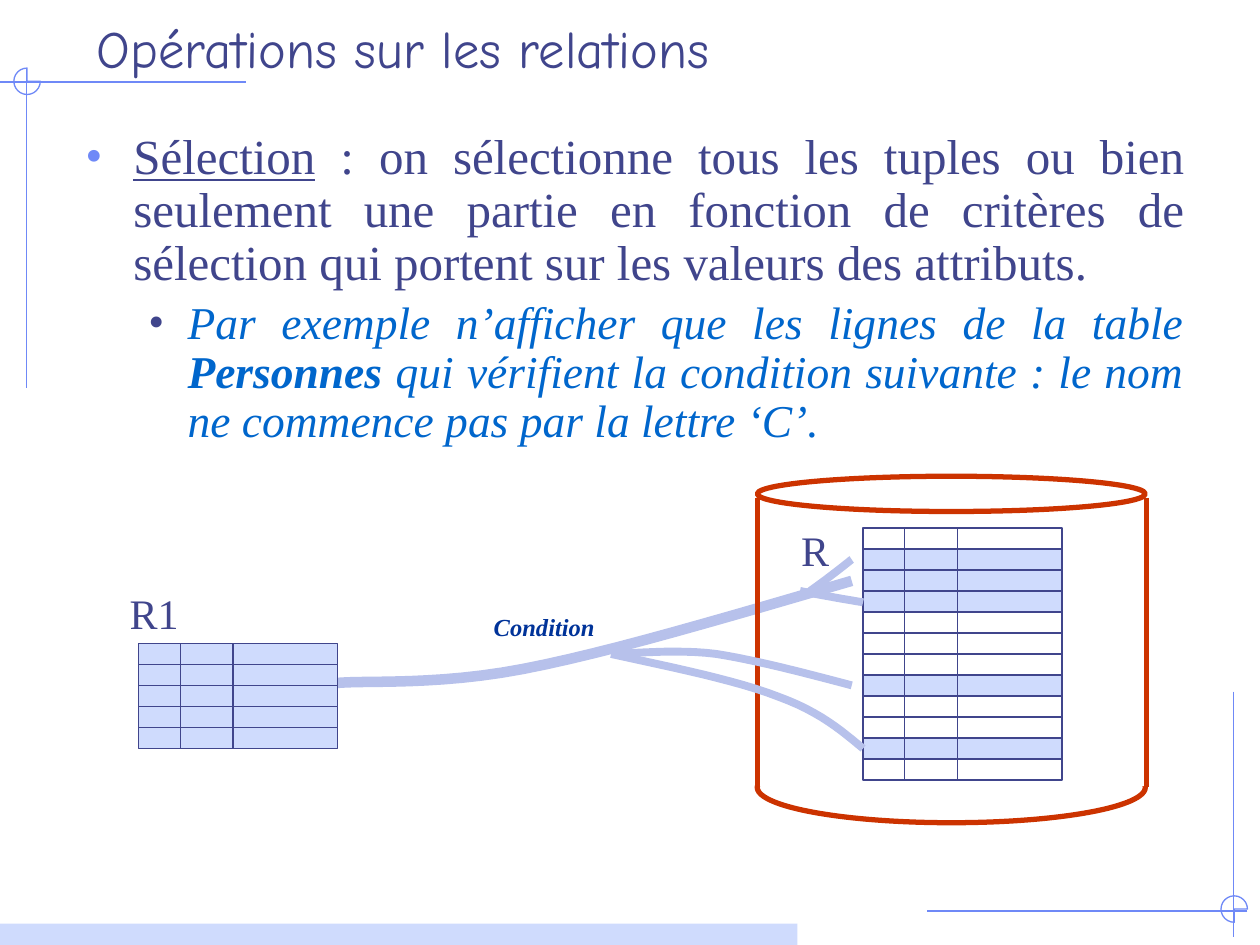
from lxml.etree import SubElement
from pptx import Presentation
from pptx.dml.color import RGBColor
from pptx.enum.shapes import MSO_CONNECTOR, MSO_SHAPE as SHAPE
from pptx.enum.text import MSO_ANCHOR as ANCHOR, PP_ALIGN as ALIGN
from pptx.oxml.ns import qn
from pptx.util import Inches, Pt

COLOR = {
    "ink": "40458C", "rule": "6F89F7", "pale": "CFDBFD", "flow": "B7C1EB",
    "red": "CC3300", "blue": "0066CC", "navy": "003399", "white": "FFFFFF",
}
SERIF = "Times New Roman"


def rgb(name):
    return RGBColor.from_string(COLOR[name])


def inches(*values):
    return [Inches(v) for v in values]


def paint(line, color, width):
    line.color.rgb = rgb(color)
    line.width = Pt(width)


def rule(slide, x1, y1, x2, y2, color="rule", width=0.75):
    line = slide.shapes.add_connector(MSO_CONNECTOR.STRAIGHT, *inches(x1, y1, x2, y2))
    paint(line.line, color, width)
    SubElement(line._element.spPr, qn("a:effectLst"))


def form(slide, kind, box, fill=None, line=None, width=0.75):
    item = slide.shapes.add_shape(kind, *inches(*box))
    item.shadow.inherit = False
    if fill:
        item.fill.solid()
        item.fill.fore_color.rgb = rgb(fill)
    else:
        item.fill.background()
    if line:
        paint(item.line, line, width)
    else:
        item.line.fill.background()
    return item


def curve(slide, start, *arcs, width=4.5, steps=12):
    """Draw a line of cubic arcs; each arc is two control points and an end."""
    pen = slide.shapes.build_freeform(*inches(*start), scale=1.0)
    points = []
    for arc in arcs:
        for i in range(1, steps + 1):
            t = i / steps
            parts = (1 - t) ** 3, 3 * t * (1 - t) ** 2, 3 * t * t * (1 - t), t ** 3
            knots = (start, *arc)
            points.append(inches(*(sum(w * k[axis] for w, k in zip(parts, knots))
                                   for axis in (0, 1))))
        start = arc[-1]
    pen.add_line_segments(points, close=False)
    item = pen.convert_to_shape()
    item.shadow.inherit = False
    item.fill.background()
    paint(item.line, "flow", width)


def write(par, text, size=24, font=SERIF, color="ink", bold=False, italic=False,
          under=False):
    run = par.add_run()
    run.text = text
    face = run.font
    face.size, face.name = Pt(size), font
    face.bold, face.italic, face.underline = bold, italic, under
    face.color.rgb = rgb(color)


def frame(slide, box, anchor=ANCHOR.TOP):
    area = slide.shapes.add_textbox(*inches(*box)).text_frame
    area.word_wrap = True
    area.vertical_anchor = anchor
    return area


def label(slide, box, text, anchor=ANCHOR.TOP, **style):
    write(frame(slide, box, anchor).paragraphs[0], text, **style)


def bullet(par, left, hang, color, before=0):
    par.alignment = ALIGN.JUSTIFY
    par.line_spacing = 0.9
    par.space_before = Pt(before)
    props = par._p.get_or_add_pPr()
    props.set("marL", str(Inches(left)))
    props.set("indent", str(-Inches(hang)))
    tint = SubElement(props, qn("a:buClr"))
    SubElement(tint, qn("a:srgbClr"), val=COLOR[color])
    SubElement(props, qn("a:buFont"), typeface=SERIF)
    SubElement(props, qn("a:buChar"), char="•")


def decor(slide):
    rule(slide, 1.95, 0.65, 0, 0.65)
    rule(slide, 0.21, 0.55, 0.21, 3.08)
    form(slide, SHAPE.PIE, (0.11, 0.54, 0.21, 0.21), line="rule")
    rule(slide, 9.79, 5.49, 9.79, 7.44)
    rule(slide, 9.9, 7.23, 7.36, 7.23)
    form(slide, SHAPE.PIE, (9.69, 7.11, 0.21, 0.21), line="rule").rotation = 90
    form(slide, SHAPE.RECTANGLE, (0, 7.33, 6.33, 0.17), fill="pale")


def body(slide, box):
    area = frame(slide, box)
    main = area.paragraphs[0]
    bullet(main, 0.38, 0.38, "rule")
    write(main, "Sélection", size=28, under=True)
    write(main, " : on sélectionne tous les tuples ou bien seulement une partie en "
          "fonction de critères de sélection qui portent sur les valeurs des "
          "attributs.", size=28)
    sub = area.add_paragraph()
    sub.level = 1
    bullet(sub, 0.81, 0.31, "ink", before=5.2)
    style = dict(size=26, color="blue", italic=True)
    write(sub, "Par exemple n’afficher que les lignes de la table ", **style)
    write(sub, "Personnes", bold=True, **style)
    write(sub, " qui vérifient la condition suivante : le nom ne commence pas par "
          "la lettre ‘C’.", **style)


def drum(slide, box):
    x, y, w, h = box
    cap, base = 0.28, 0.56
    form(slide, SHAPE.OVAL, (x, y + h - base, w, base), "white", "red", 3)
    form(slide, SHAPE.OVAL, (x, y, w, cap), "white", "red", 3)
    form(slide, SHAPE.RECTANGLE, (x, y + h - 0.68, w, 0.39), "white")
    for side in (x, x + w + 0.01):
        rule(slide, side, y + 0.17, side, y + h - 0.28, "red", 3)


def grid(slide, box, rows, chosen):
    """Sketch a relation: one bar per tuple, split in three; chosen bars are tinted."""
    x, y, w, h = box
    step = h / rows
    for i in range(rows):
        top = y + i * step
        form(slide, SHAPE.RECTANGLE, (x, top, w, step),
             "pale" if i in chosen else None, "ink")
        for split in (0.33, 0.75):
            rule(slide, x + split, top, x + split, top + step, "ink")


def diagram(slide, x, y):
    def at(dx, dy):
        return x + dx, y + dy

    curve(slide, at(5.83, 0.83), (at(4.87, 1.11), at(3.9, 1.4), at(3.22, 1.53)),
          (at(2.54, 1.66), at(1.99, 1.62), at(1.75, 1.64)), width=6)
    drum(slide, (*at(5.08, 0), 3.08, 2.75))
    grid(slide, (*at(5.92, 0.41), 1.58, 2), 12, {1, 2, 3, 7, 10})
    grid(slide, (*at(0.17, 1.33), 1.58, 0.83), 5, range(5))
    curve(slide, at(5.83, 1.66), (at(5.45, 1.56), at(5.07, 1.46), at(4.75, 1.41)),
          (at(4.43, 1.37), at(4.06, 1.41), at(3.92, 1.41)))
    curve(slide, at(5.92, 2.16), (at(5.75, 2.02), at(5.58, 1.87), at(5.25, 1.75)),
          (at(4.92, 1.62), at(4.42, 1.52), at(3.92, 1.41)))
    curve(slide, at(5.92, 1), (at(5.92, 1), at(5.67, 0.96), at(5.42, 0.91)))
    curve(slide, at(5.83, 0.66), (at(5.83, 0.66), at(5.67, 0.79), at(5.5, 0.91)))
    label(slide, (*at(0, 0.83), 0.67, 0.5), "R1")
    label(slide, (*at(5.33, 0.33), 0.67, 0.5), "R")
    label(slide, (*at(2.89, 1.03), 1.08, 0.33), "Condition", size=14, color="navy",
          bold=True, italic=True)


def main():
    deck = Presentation()
    deck.slide_width, deck.slide_height = inches(10, 7.5)
    slide = deck.slides.add_slide(deck.slide_layouts[6])
    decor(slide)
    label(slide, (0.67, 0.01, 9.08, 0.67), "Opérations sur les relations",
          anchor=ANCHOR.BOTTOM, size=30, font="Comic Neue")
    body(slide, (0.58, 1, 8.92, 6.01))
    diagram(slide, 0.93, 3.78)
    deck.save("out.pptx")


if __name__ == "__main__":
    main()
